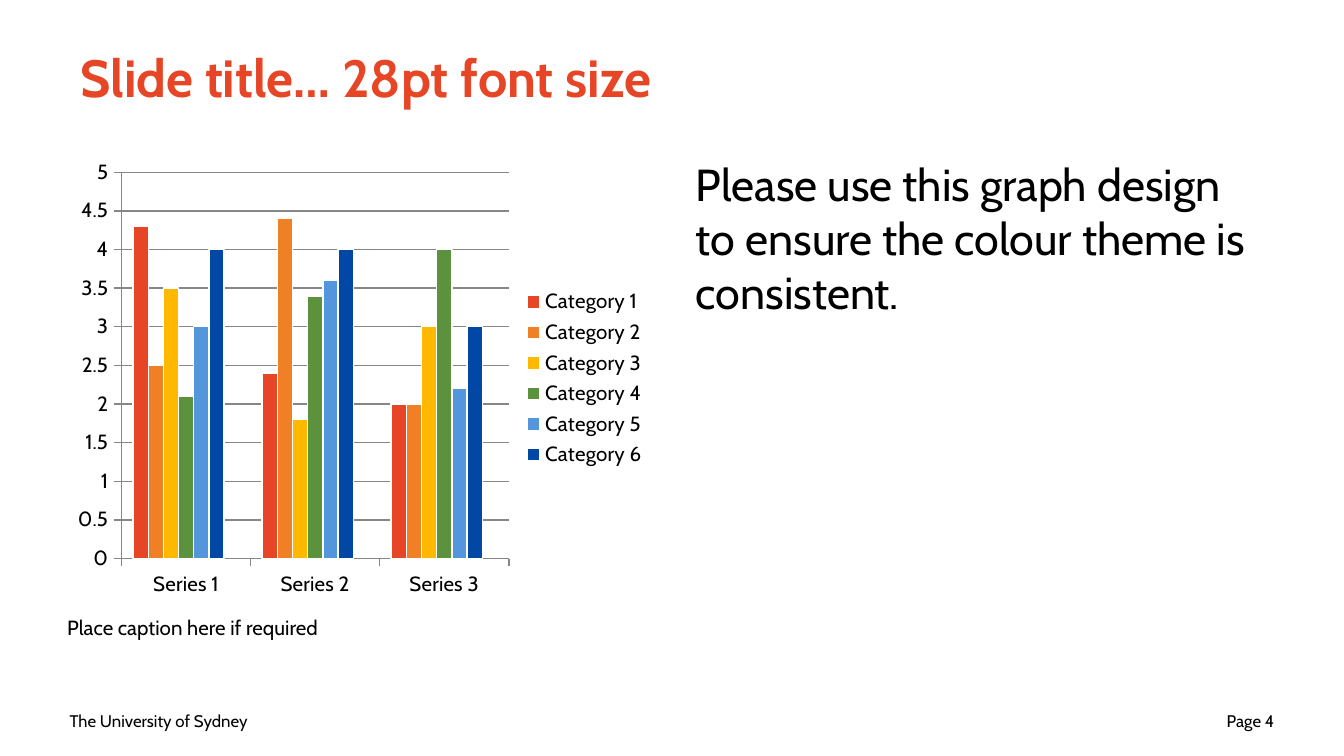
from lxml.etree import SubElement
from pptx import Presentation
from pptx.chart.data import CategoryChartData
from pptx.dml.color import RGBColor
from pptx.enum.chart import XL_CHART_TYPE, XL_LEGEND_POSITION, XL_TICK_MARK
from pptx.enum.text import MSO_ANCHOR, PP_ALIGN
from pptx.oxml.ns import qn
from pptx.util import Inches, Pt

FONT = "Cabin"
COLOURS = {
    "text": "000000", "axis": "868686", "white": "FFFFFF", "red": "E64626",
    "orange": "EF8025", "yellow": "FFB800", "green": "5C923E", "sky": "5496DB",
    "navy": "0148A4",
}
SLIDE_WIDTH = Inches(10)
SLIDE_HEIGHT = SLIDE_WIDTH * 9 // 16
DEFAULT_INSETS = (0.1, 0.05, 0.1, 0.05)
TEXTS = [
    {"text": "The University of Sydney", "at": (0.42, 5.21, 2.33, 0.3), "size": 9,
     "anchor": MSO_ANCHOR.MIDDLE},
    {"text": "Page 4", "at": (7.25, 5.21, 2.33, 0.3), "size": 9,
     "anchor": MSO_ANCHOR.MIDDLE, "align": PP_ALIGN.RIGHT},
    {"text": "Slide title… 28pt font size", "at": (0.5, 0.1, 9, 0.94), "size": 28,
     "anchor": MSO_ANCHOR.MIDDLE, "colour": "red", "bold": True},
    {"text": "Please use this graph design to ensure the colour theme is consistent.",
     "at": (5.08, 1.12, 4.42, 3.71), "size": 24},
    {"text": "Place caption here if required", "at": (0.5, 4.5, 4.42, 0.44), "size": 11,
     "insets": (0, 0.08, 0.08, 0.05)},
]
GROUPS = ["Series 1", "Series 2", "Series 3"]
SERIES = [
    ("Category 1", (4.3, 2.4, 2), "red"),
    ("Category 2", (2.5, 4.4, 2), "orange"),
    ("Category 3", (3.5, 1.8, 3), "yellow"),
    ("Category 4", (2.1, 3.4, 4), "green"),
    ("Category 5", (3, 3.6, 2.2), "sky"),
    ("Category 6", (4, 4, 3), "navy"),
    ("Series 7", (None, None, None), "red"),
]
UNLISTED_SERIES = 6
CHART_AT = (0.49, 1.12, 4.42, 3.39)


def colour(name):
    return RGBColor.from_string(COLOURS[name])


def style_font(font, size, name="text", bold=False):
    formats = {"name": FONT, "size": Pt(size), "bold": bold}
    for attribute, value in formats.items():
        setattr(font, attribute, value)
    font.color.rgb = colour(name)


def style_line(line, name):
    line.color.rgb = colour(name)
    line.width = Pt(0.75)


def add_text(slide, item):
    frame = slide.shapes.add_textbox(*map(Inches, item["at"])).text_frame
    left, top, right, bottom = map(Inches, item.get("insets", DEFAULT_INSETS))
    formats = {
        "word_wrap": True, "vertical_anchor": item.get("anchor", MSO_ANCHOR.TOP),
        "margin_left": left, "margin_top": top,
        "margin_right": right, "margin_bottom": bottom,
    }
    for attribute, value in formats.items():
        setattr(frame, attribute, value)
    paragraph = frame.paragraphs[0]
    paragraph.alignment = item.get("align", PP_ALIGN.LEFT)
    run = paragraph.add_run()
    run.text = item["text"]
    style_font(run.font, item["size"], item.get("colour", "text"), item.get("bold", False))


def add_column_chart(slide):
    data = CategoryChartData(number_format="General")
    data.categories = GROUPS
    for name, values, _ in SERIES:
        data.add_series(name, values)
    chart = slide.shapes.add_chart(
        XL_CHART_TYPE.COLUMN_CLUSTERED, *map(Inches, CHART_AT), data).chart
    style_font(chart.font, 11)
    chart.has_title = False

    plot = chart.plots[0]
    plot.gap_width = 150
    plot.overlap = 0
    plot.vary_by_categories = False
    for series, (_, _, name) in zip(plot.series, SERIES):
        series.format.fill.solid()
        series.format.fill.fore_color.rgb = colour(name)
        style_line(series.format.line, "white")

    values = chart.value_axis
    values.minimum_scale, values.maximum_scale, values.major_unit = 0, 5, 0.5
    values.has_major_gridlines = True
    for axis in (chart.category_axis, values):
        axis.major_tick_mark = XL_TICK_MARK.OUTSIDE
        axis.minor_tick_mark = XL_TICK_MARK.NONE
    for part in (chart.category_axis, values, values.major_gridlines):
        style_line(part.format.line, "axis")

    chart.has_legend = True
    legend = chart.legend
    legend.position = XL_LEGEND_POSITION.RIGHT
    legend.include_in_layout = False
    style_font(legend.font, 11)
    legend_xml = chart.element.find(".//" + qn("c:legend"))
    entry = SubElement(legend_xml, qn("c:legendEntry"))
    SubElement(entry, qn("c:idx")).set("val", str(UNLISTED_SERIES))
    SubElement(entry, qn("c:delete")).set("val", "1")
    legend_xml.find(qn("c:legendPos")).addnext(entry)


def main():
    deck = Presentation()
    deck.slide_width, deck.slide_height = SLIDE_WIDTH, SLIDE_HEIGHT
    slide = deck.slides.add_slide(deck.slide_layouts[6])
    for item in TEXTS:
        add_text(slide, item)
    add_column_chart(slide)
    deck.save("out.pptx")


if __name__ == "__main__":
    main()
